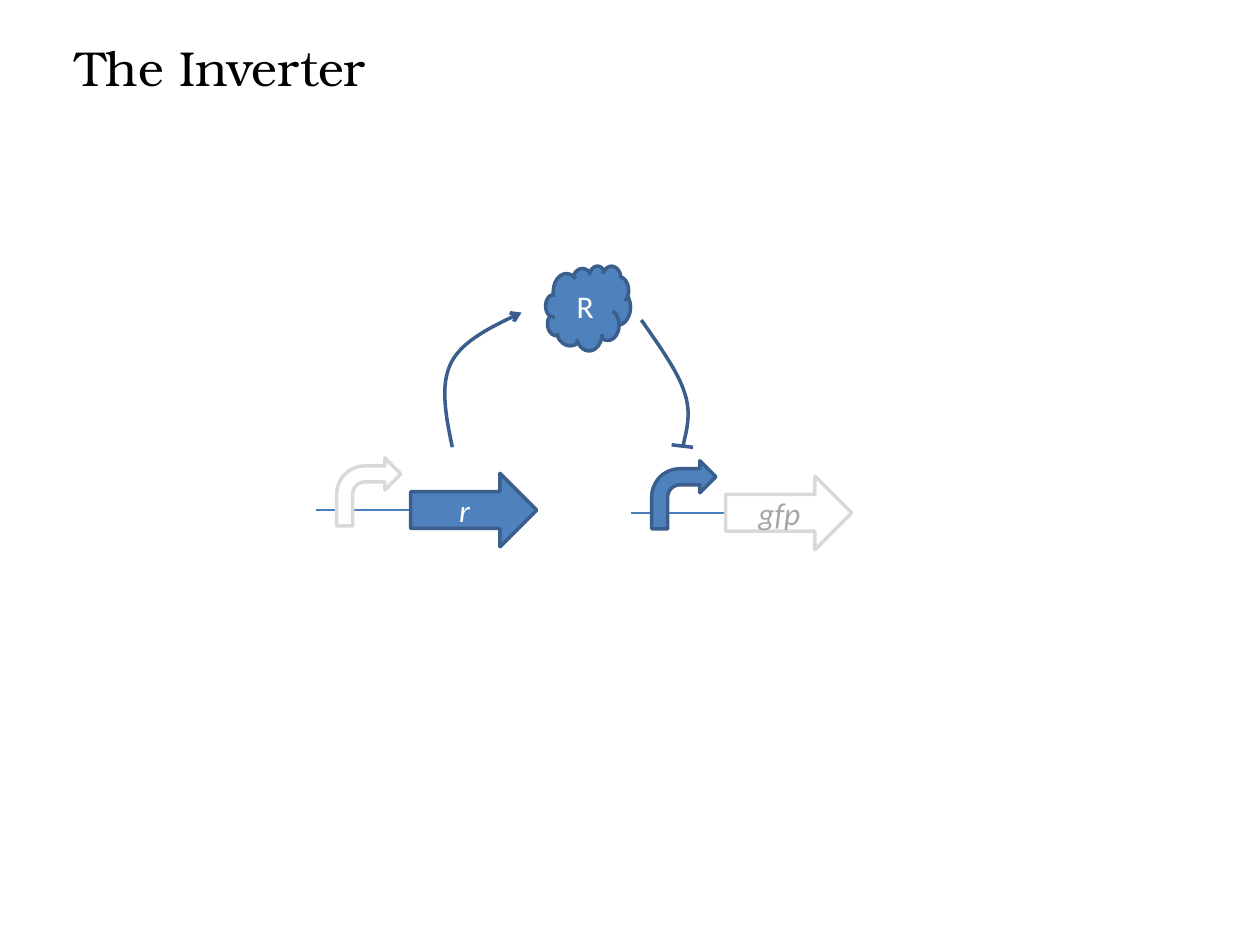
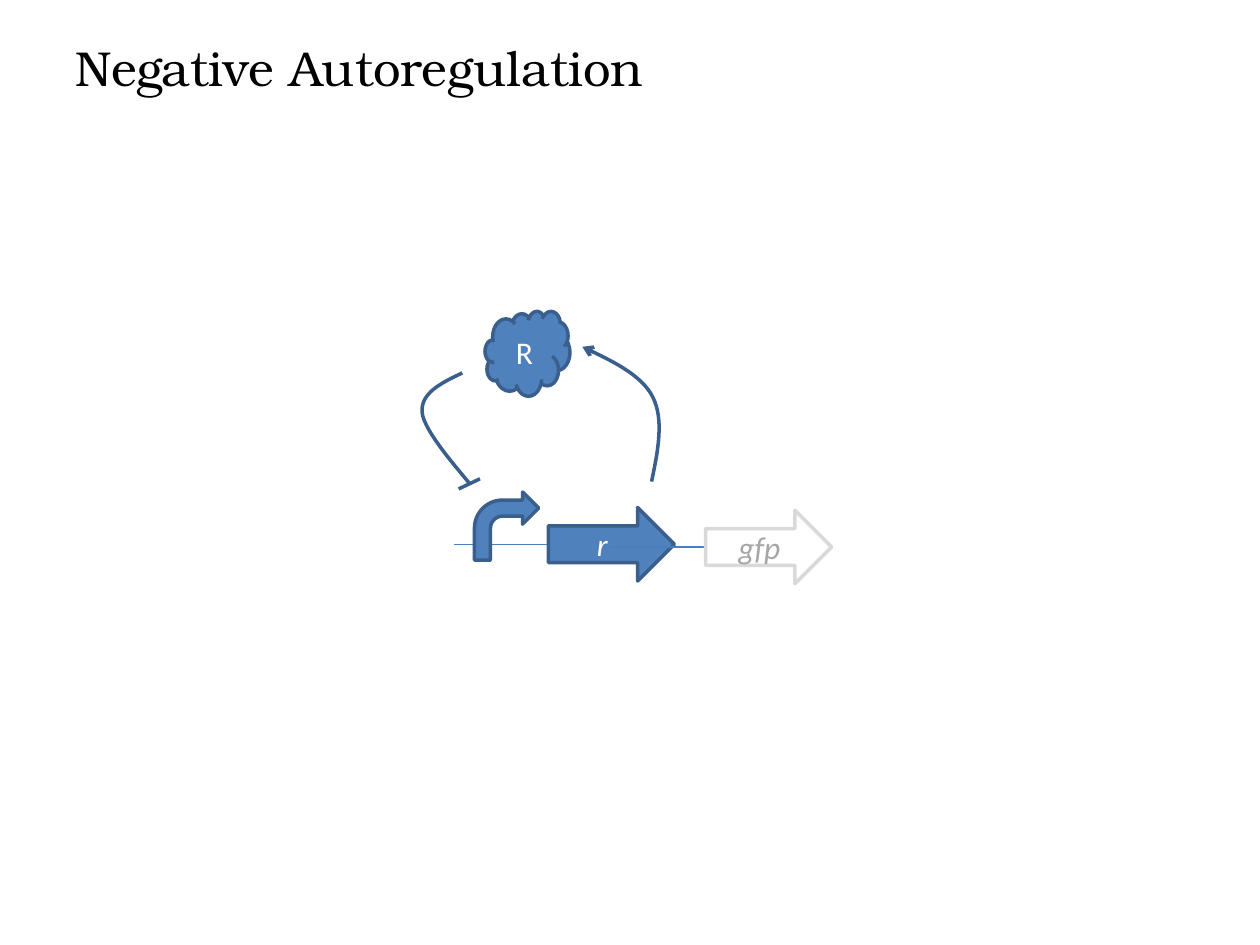
import pptx
import pptx.dml.color
import pptx.enum.shapes
import pptx.enum.text
import pptx.oxml.ns
import pptx.util
from lxml import etree

Pt = pptx.util.Pt
RGBColor = pptx.dml.color.RGBColor
Shape = pptx.enum.shapes.MSO_SHAPE
qn = pptx.oxml.ns.qn

# Colours: fill, outline and text of active and faded symbols
BLACK = RGBColor(0x00, 0x00, 0x00)
WHITE = RGBColor(0xFF, 0xFF, 0xFF)
BLUE = RGBColor(0x4F, 0x81, 0xBD)
DARK_BLUE = RGBColor(0x3A, 0x5F, 0x8C)
STRAND_BLUE = RGBColor(0x4B, 0x7E, 0xBC)
LIGHT_GREY = RGBColor(0xD9, 0xD9, 0xD9)
GREY = RGBColor(0xA6, 0xA6, 0xA6)
ACTIVE = (BLUE, DARK_BLUE, WHITE)
FADED = (WHITE, LIGHT_GREY, GREY)

TITLE_FONT = "TeX Gyre Bonum"
LABEL_FONT = "Calibri"
OUTLINE_WIDTH = 2
CURVE_STEPS = 16

# Bezier points of each curve, measured from its start
PRODUCTION = [(-3.6, -17.3), (-7.2, -35.3), (-0.7, -48.2),
              (5.8, -61.2), (23, -69.1), (39.6, -77)]
INVERTER_REPRESSION = [(10, 14.4), (20.9, 29.5), (24.5, 41),
                       (28.8, 53.3), (25.9, 62.6), (23.8, 72)]
FEEDBACK_REPRESSION = [(-12.2, 5.8), (-23.8, 11.5), (-23, 22.3),
                       (-22.3, 33.1), (-1.4, 56.2), (4.3, 63.4)]


def bezier_points(controls):
    """Sample a chain of cubic curves that begins at the first control."""
    points = []
    for first in range(0, len(controls) - 1, 3):
        a, b, c, d = controls[first:first + 4]
        for step in range(1, CURVE_STEPS + 1):
            t = step / CURVE_STEPS
            u = 1 - t
            points.append(tuple(
                u**3 * a[i] + 3 * u * u * t * b[i] + 3 * u * t * t * c[i] + t**3 * d[i]
                for i in (0, 1)))
    return points


class CircuitDeck:
    def __init__(self):
        self.presentation = pptx.Presentation()
        self.presentation.slide_width = Pt(720)
        self.presentation.slide_height = Pt(540)
        self.slide = None

    def add_slide(self, title):
        layout = self.presentation.slide_layouts[5]
        self.slide = self.presentation.slides.add_slide(layout)
        shape = self.slide.shapes.title
        shape.left, shape.top, shape.width, shape.height = map(Pt, (36, 18, 678, 41))
        frame = shape.text_frame
        frame.text = title
        frame.word_wrap = True
        frame.auto_size = pptx.enum.text.MSO_AUTO_SIZE.SHAPE_TO_FIT_TEXT
        frame.vertical_anchor = pptx.enum.text.MSO_ANCHOR.TOP
        paragraph = frame.paragraphs[0]
        paragraph.alignment = pptx.enum.text.PP_ALIGN.LEFT
        self.set_font(paragraph, TITLE_FONT, 28, BLACK)

    def set_font(self, paragraph, name, size, color, italic=False):
        font = paragraph.font
        font.name, font.size, font.italic = name, Pt(size), italic
        font.color.rgb = color

    def set_line(self, shape, color, width=OUTLINE_WIDTH):
        shape.line.color.rgb = color
        shape.line.width = Pt(width)

    def symbol(self, kind, left, top, width, height, style, label="", italic=False):
        fill, outline, text_color = style
        shape = self.slide.shapes.add_shape(kind, *map(Pt, (left, top, width, height)))
        shape.shadow.inherit = False
        shape.fill.solid()
        shape.fill.fore_color.rgb = fill
        self.set_line(shape, outline)
        if label:
            frame = shape.text_frame
            frame.text = label
            frame.vertical_anchor = pptx.enum.text.MSO_ANCHOR.MIDDLE
            paragraph = frame.paragraphs[0]
            paragraph.alignment = pptx.enum.text.PP_ALIGN.CENTER
            self.set_font(paragraph, LABEL_FONT, 18, text_color, italic)

    def straight_line(self, start, end, color=DARK_BLUE, width=OUTLINE_WIDTH):
        connector = self.slide.shapes.add_connector(
            pptx.enum.shapes.MSO_CONNECTOR.STRAIGHT, *map(Pt, (*start, *end)))
        self.set_line(connector, color, width)
        etree.SubElement(connector.element.spPr, qn("a:effectLst"))

    def curve(self, start, offsets, direction=1, arrow=False):
        """Draw a curve from start; direction -1 mirrors it left to right."""
        x, y = start
        controls = [start] + [(x + direction * dx, y + dy) for dx, dy in offsets]
        builder = self.slide.shapes.build_freeform(Pt(x), Pt(y))
        builder.add_line_segments(
            [(Pt(px), Pt(py)) for px, py in bezier_points(controls)], close=False)
        shape = builder.convert_to_shape()
        shape.shadow.inherit = False
        shape.fill.background()
        self.set_line(shape, DARK_BLUE)
        if arrow:
            outline = shape.element.spPr.find(qn("a:ln"))
            etree.SubElement(outline, qn("a:tailEnd"), type="arrow")

    def gene(self, left, strand, name, gene_style, promoter_style=None):
        """Draw a strand with its gene and, if styled, its promoter."""
        self.straight_line((left, strand), (left + 83.7, strand), STRAND_BLUE, 0.75)
        self.symbol(Shape.RIGHT_ARROW, left + 54, strand - 21, 72, 42,
                    gene_style, name, italic=True)
        if promoter_style:
            self.symbol(Shape.BENT_ARROW, left + 11.7, strand - 29.8, 36.7, 38.9,
                        promoter_style)

    def protein(self, left, top):
        self.symbol(Shape.CLOUD, left, top, 48.5, 48.5, ACTIVE, "R")


def main():
    deck = CircuitDeck()

    # Inverter: r makes R, which represses the promoter of gfp
    deck.add_slide("The Inverter")
    deck.gene(180.7, 291.5, "r", ACTIVE, FADED)
    deck.gene(360.7, 293.1, "gfp", FADED, ACTIVE)
    deck.curve((258.5, 255.6), PRODUCTION, arrow=True)
    deck.protein(311.8, 151.9)
    deck.curve((366.5, 182.9), INVERTER_REPRESSION)
    deck.straight_line((383.8, 254.2), (396, 255.6))

    # Negative autoregulation: R represses its own promoter
    deck.add_slide("Negative Autoregulation")
    deck.gene(259.4, 311, "r", ACTIVE, ACTIVE)
    deck.gene(349.2, 312.6, "gfp", FADED)
    deck.curve((372.4, 275.2), PRODUCTION, direction=-1, arrow=True)
    deck.protein(277.2, 177.8)
    deck.curve((264.2, 213.1), FEEDBACK_REPRESSION)
    deck.straight_line((274.3, 273.6), (262.1, 279.4))

    deck.presentation.save("out.pptx")


if __name__ == "__main__":
    main()
